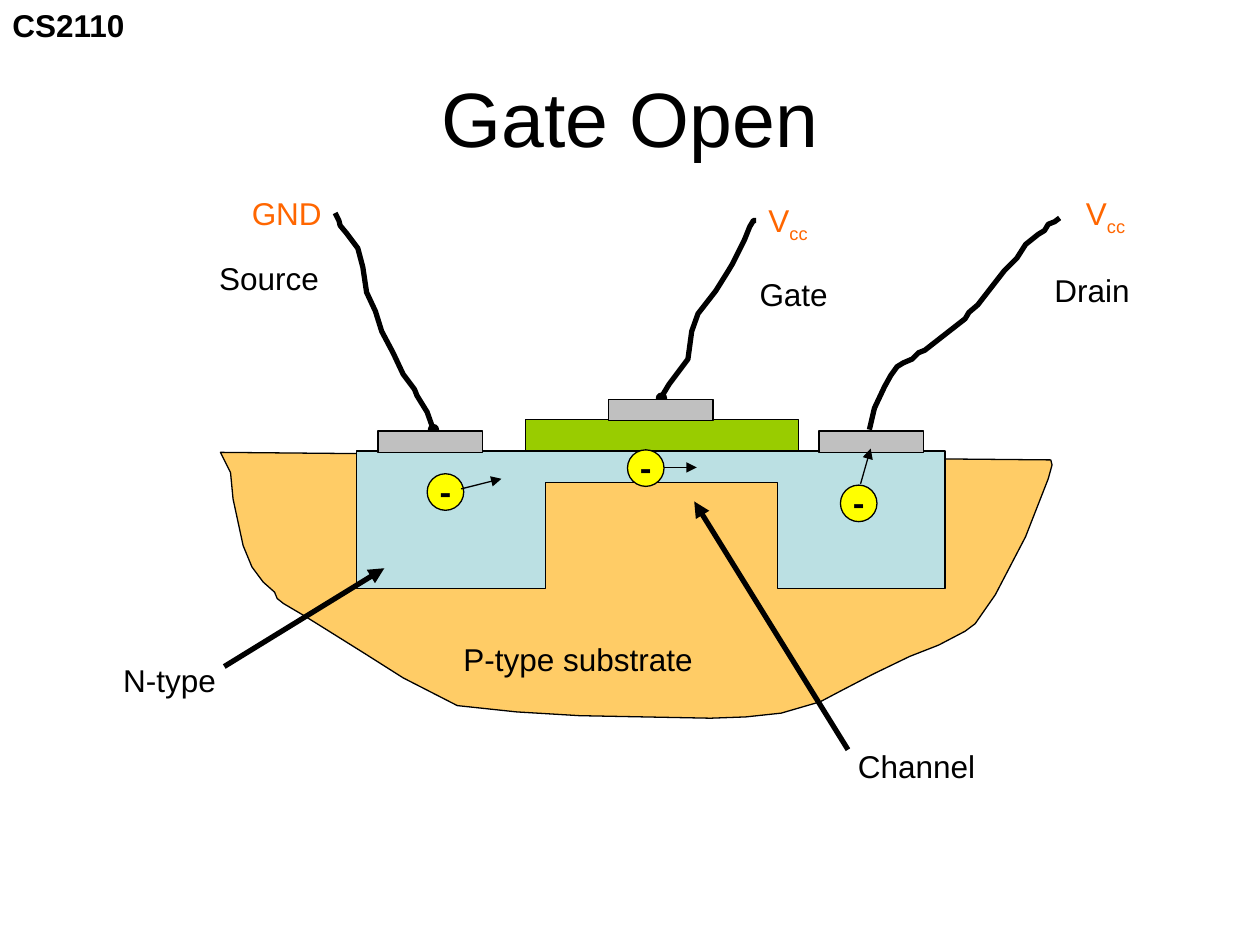
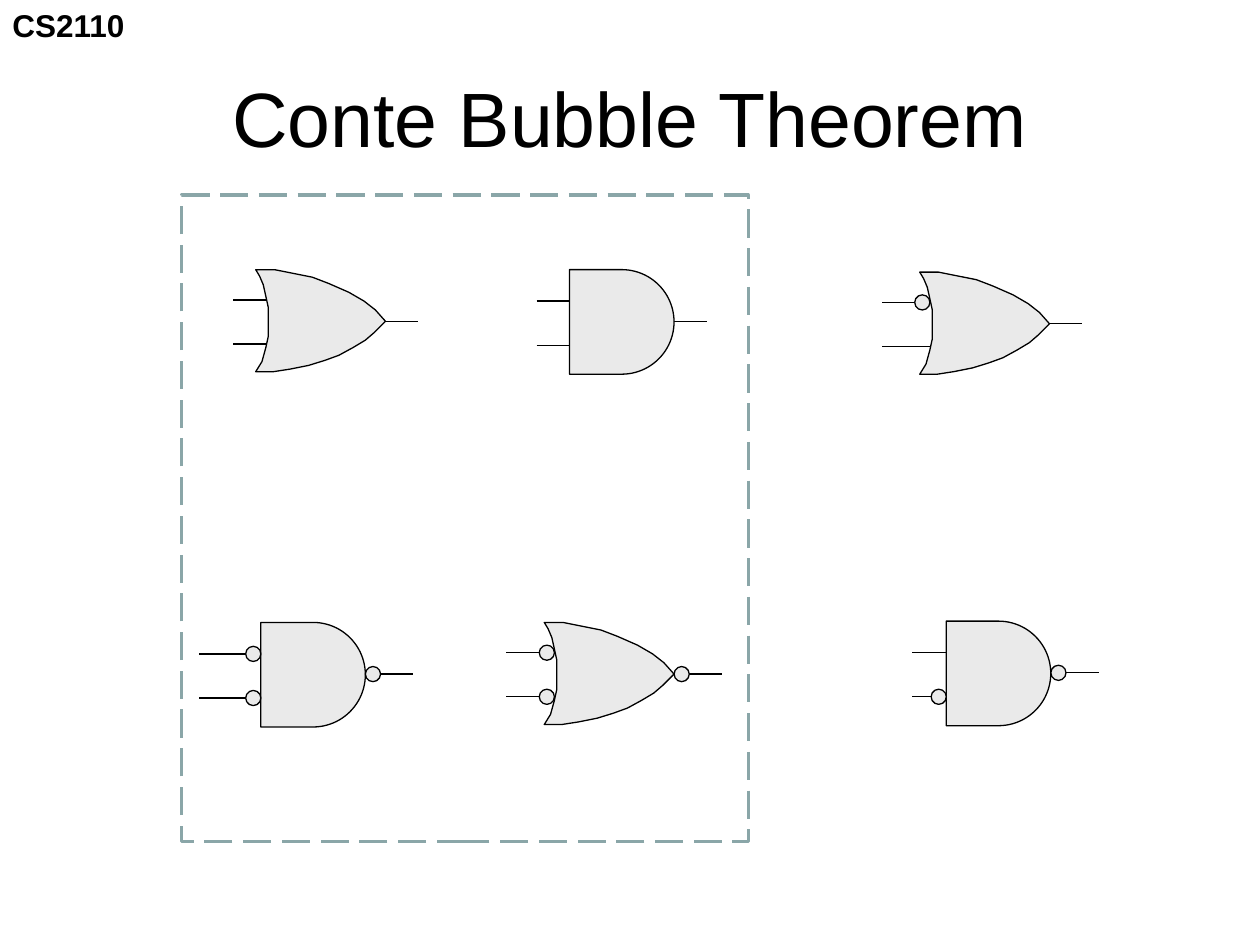
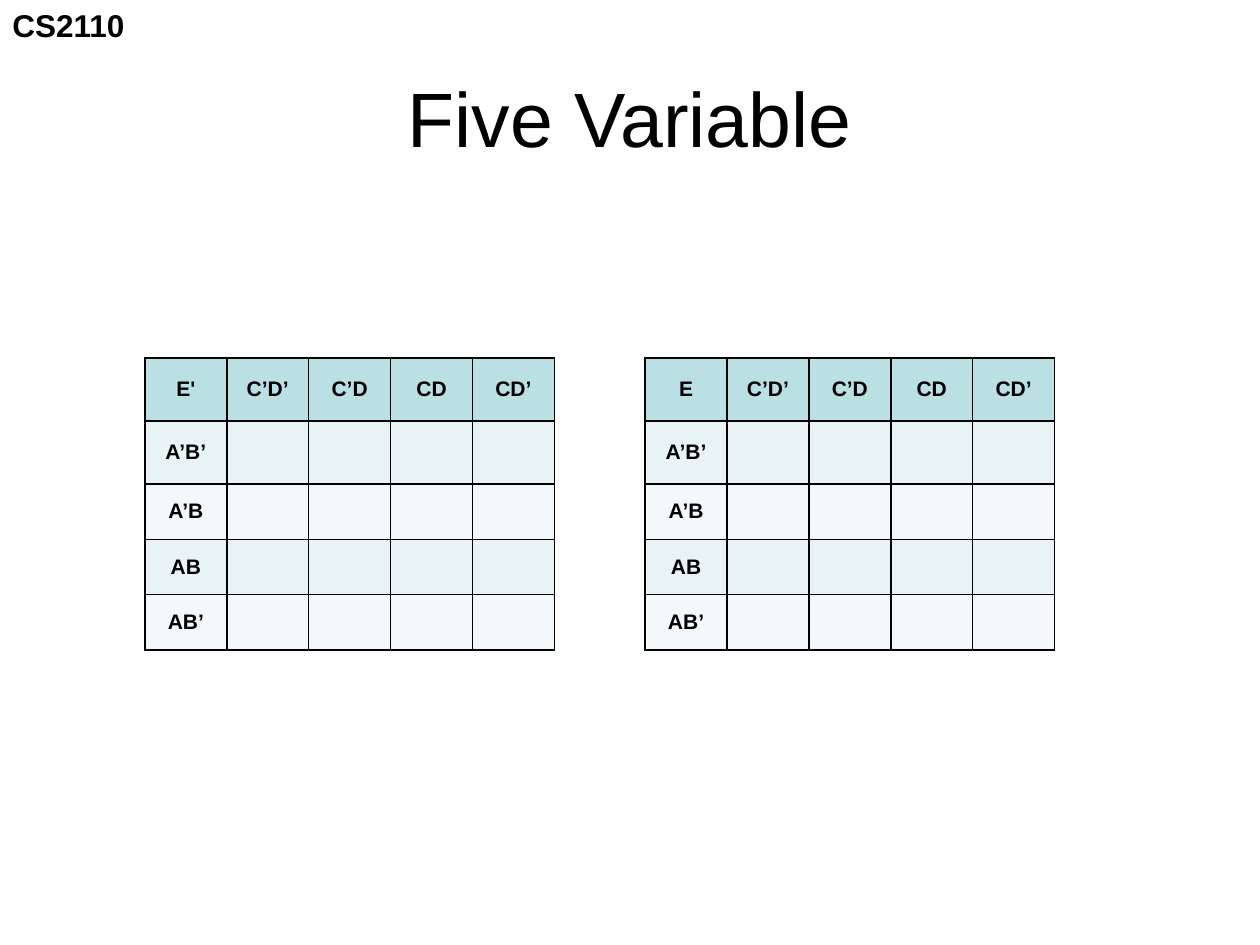
from lxml.etree import SubElement
from pptx import Presentation
from pptx.dml.color import RGBColor
from pptx.enum.dml import MSO_LINE
from pptx.enum.shapes import MSO_CONNECTOR, MSO_SHAPE
from pptx.enum.text import MSO_ANCHOR, MSO_AUTO_SIZE, PP_ALIGN
from pptx.oxml.ns import qn
from pptx.util import Pt

PX = 9144
BLACK = RGBColor(0x00, 0x00, 0x00)
ORANGE = RGBColor(0xFF, 0x66, 0x00)
SAND = RGBColor(0xFF, 0xCC, 0x66)
AQUA = RGBColor(0xBB, 0xE0, 0xE3)
AQUA_LIGHT = RGBColor(0xE7, 0xF3, 0xF4)
AQUA_PALE = RGBColor(0xF3, 0xF9, 0xFA)
GREEN = RGBColor(0x99, 0xCC, 0x00)
SILVER = RGBColor(0xC0, 0xC0, 0xC0)
YELLOW = RGBColor(0xFF, 0xFF, 0x00)
GATE_GREY = RGBColor(0xEA, 0xEA, 0xEA)
FRAME_TEAL = RGBColor(0x8A, 0xA6, 0xA8)
RECTANGLE = MSO_SHAPE.RECTANGLE
ELLIPSE = MSO_SHAPE.OVAL
DELAY = MSO_SHAPE.FLOWCHART_DELAY
STRAIGHT = MSO_CONNECTOR.STRAIGHT
LONG_DASH = MSO_LINE.LONG_DASH
CENTER = PP_ALIGN.CENTER
LEFT = PP_ALIGN.LEFT
MIDDLE = MSO_ANCHOR.MIDDLE
TOP = MSO_ANCHOR.TOP
GROW = MSO_AUTO_SIZE.SHAPE_TO_FIT_TEXT
FIXED = MSO_AUTO_SIZE.NONE
THIN, THICK = 0.75, 3


def paint(shape, fill=None, weight=THIN, color=BLACK):
    shape.shadow.inherit = False
    if fill is None:
        shape.fill.background()
    else:
        shape.fill.solid()
        shape.fill.fore_color.rgb = fill
    shape.line.color.rgb = color
    shape.line.width = Pt(weight)


def connect(shapes, start, end, weight=THIN, arrow=False):
    ends = [value * PX for value in (*start, *end)]
    connector = shapes.add_connector(STRAIGHT, *ends)
    connector.line.color.rgb = BLACK
    connector.line.width = Pt(weight)
    properties = connector._element.spPr
    if arrow:
        SubElement(properties.find(qn("a:ln")), qn("a:tailEnd"), type="triangle")
    SubElement(properties, qn("a:effectLst"))


deck = Presentation()
deck.slide_width = 1000 * PX
deck.slide_height = 750 * PX
transistor, bubbles, karnaugh = [deck.slides.add_slide(deck.slide_layouts[6]) for _ in range(3)]
spans = []

SUBSTRATE = [
    (175, 359), (834, 365), (835, 369), (832, 380), (814, 426), (790, 472),
    (774, 495), (766, 501), (745, 512), (722, 521), (693, 535), (668, 548),
    (651, 557), (620, 566), (592, 569), (564, 570), (460, 568), (410, 565),
    (363, 560), (320, 538), (290, 519), (258, 499), (242, 489), (225, 479),
    (220, 475), (218, 470), (209, 462), (200, 450), (193, 433), (185, 396),
    (183, 375),
]
N_REGION = [
    (283, 358), (283, 467), (433, 467), (433, 383),
    (617, 383), (617, 467), (750, 467), (750, 358),
]
DRAIN_WIRE = [
    (690, 341), (694, 324), (702, 307), (707, 298), (712, 291), (717, 288),
    (724, 285), (729, 280), (734, 278), (766, 253), (769, 248), (776, 242),
    (797, 215), (807, 205), (814, 194), (824, 186), (829, 183), (832, 178),
    (837, 176), (841, 173),
]
GATE_WIRE = [
    (525, 315), (531, 305), (546, 285), (549, 263), (554, 249), (568, 231),
    (578, 215), (581, 210), (591, 190), (595, 180), (598, 175), (600, 175),
]
SOURCE_WIRE = [
    (344, 341), (339, 327), (331, 314), (329, 309), (320, 297), (312, 280),
    (303, 263), (298, 247), (291, 232), (288, 212), (284, 197), (275, 185),
    (270, 179), (269, 175), (266, 169),
]

for left, top in [(686, 355), (521, 312), (340, 337)]:
    joint = transistor.shapes.add_shape(ELLIPSE, left * PX, top * PX, 8 * PX, 8 * PX)
    paint(joint, BLACK)

for points, fill in [(SUBSTRATE, SAND), (N_REGION, AQUA)]:
    builder = transistor.shapes.build_freeform(*points[0], scale=PX)
    builder.add_line_segments(points[1:], close=True)
    paint(builder.convert_to_shape(), fill)

for left, top, width, height, fill in [
    (417, 333, 217, 25, GREEN),
    (300, 342, 83, 17, SILVER),
    (650, 342, 83, 17, SILVER),
    (483, 317, 83, 17, SILVER),
]:
    plate = transistor.shapes.add_shape(RECTANGLE, left * PX, top * PX, width * PX, height * PX)
    paint(plate, fill)

for points in (DRAIN_WIRE, GATE_WIRE, SOURCE_WIRE):
    builder = transistor.shapes.build_freeform(*points[0], scale=PX)
    builder.add_line_segments(points[1:], close=False)
    paint(builder.convert_to_shape(), weight=THICK)

for left, top in [(339, 376), (498, 357), (667, 385)]:
    electron = transistor.shapes.add_shape(ELLIPSE, left * PX, top * PX, 29 * PX, 29 * PX)
    paint(electron, YELLOW)
    electron.text_frame.word_wrap = False
    electron.text_frame.vertical_anchor = MIDDLE
    para = electron.text_frame.paragraphs[0]
    para.alignment = CENTER
    span = para.add_run()
    span.text = "-"
    spans.append((span, "Montserrat", 18, True, BLACK))

for start, end, weight in [
    ((178, 529), (305, 451), THICK),
    ((673, 595), (551, 398), THICK),
    ((366, 388), (398, 380), THIN),
    ((527, 371), (553, 371), THIN),
    ((683, 384), (691, 356), THIN),
]:
    connect(transistor.shapes, start, end, weight, arrow=True)

OR_OUTLINE = [
    (0, 0), (15, 0), (30, 3), (45, 6), (58, 11), (74, 18), (86, 25),
    (95, 32), (103, 41), (94, 50), (87, 56), (77, 62), (66, 68), (55, 72),
    (42, 76), (27, 79), (14, 81), (7, 81), (0, 81), (5, 73), (8, 62),
    (10, 53), (10, 41), (10, 30), (8, 21), (6, 12), (3, 5),
]
BUBBLE = 12
LEAD = 26
OUTPUT_DROP = 41

for kind, left, top, lead_start, inverted_inputs, inverted_output in [
    ("or", 203, 214, 185, (False, False), False),
    ("and", 452, 214, 426, (False, False), False),
    ("and", 207, 494, 158, (True, True), True),
    ("or", 432, 494, 402, (True, True), True),
    ("or", 730, 216, 700, (True, False), False),
    ("and", 751, 493, 724, (False, True), True),
]:
    gate = bubbles.shapes.add_group_shape().shapes
    is_or = kind == "or"
    inlet = left + 8 if is_or else left
    right = left + (103 if is_or else 83)
    pins = [top + drop for drop in ((24, 59) if is_or else (25, 60))]
    output = top + OUTPUT_DROP
    for pin in pins:
        connect(gate, (lead_start, pin), (inlet, pin))
    lead_left = right + BUBBLE * inverted_output
    connect(gate, (lead_left, output), (lead_left + LEAD, output))
    if is_or:
        builder = gate.build_freeform(*OR_OUTLINE[0], scale=PX)
        builder.add_line_segments(OR_OUTLINE[1:], close=True)
        body = builder.convert_to_shape(left * PX, top * PX)
    else:
        body = gate.add_shape(DELAY, left * PX, top * PX, 83 * PX, 83 * PX)
    paint(body, GATE_GREY)
    centers = [(inlet - BUBBLE, pin) for pin, inverted in zip(pins, inverted_inputs) if inverted]
    if inverted_output:
        centers.append((right, output))
    for bubble_left, middle in centers:
        bubble_top = middle - BUBBLE // 2
        bubble = gate.add_shape(ELLIPSE, bubble_left * PX, bubble_top * PX, BUBBLE * PX, BUBBLE * PX)
        paint(bubble, GATE_GREY)

frame = bubbles.shapes.add_shape(RECTANGLE, 144 * PX, 155 * PX, 450 * PX, 513 * PX)
paint(frame, weight=2, color=FRAME_TEAL)
frame.line.dash_style = LONG_DASH

COLUMN_NAMES = ["C’D’", "C’D", "CD", "CD’"]
ROW_NAMES = ["A’B’", "A’B", "AB", "AB’"]
ROW_HEIGHTS = [50, 50, 44, 44, 44]
ROW_FILLS = [AQUA, AQUA_LIGHT, AQUA_PALE, AQUA_LIGHT, AQUA_PALE]

for left, corner in [(115, "E'"), (512, "E")]:
    table = karnaugh.shapes.add_table(5, 5, left * PX, 284 * PX, 325 * PX, sum(ROW_HEIGHTS) * PX).table
    table.first_row = False
    table.horz_banding = False
    for column in table.columns:
        column.width = 65 * PX
    names = [[corner, *COLUMN_NAMES]] + [[name] + [""] * 4 for name in ROW_NAMES]
    for row, height, fill, texts in zip(table.rows, ROW_HEIGHTS, ROW_FILLS, names):
        row.height = height * PX
        for cell, text in zip(row.cells, texts):
            properties = cell._tc.get_or_add_tcPr()
            for side in ("a:lnL", "a:lnR", "a:lnT", "a:lnB"):
                border = SubElement(properties, qn(side), w=str(Pt(1)))
                color = SubElement(SubElement(border, qn("a:solidFill")), qn("a:srgbClr"))
                color.set("val", str(BLACK))
            cell.fill.solid()
            cell.fill.fore_color.rgb = fill
            cell.vertical_anchor = MIDDLE
            if text:
                para = cell.text_frame.paragraphs[0]
                para.alignment = CENTER
                span = para.add_run()
                span.text = text
                spans.append((span, "Arial", 12, True, BLACK))

LABEL = {"word_wrap": False, "auto_size": GROW, "vertical_anchor": TOP}
TITLE = {"word_wrap": True, "auto_size": FIXED, "vertical_anchor": MIDDLE}
texts = [
    (transistor, 358, 503, 202, "P-type substrate", "", BLACK),
    (transistor, 88, 520, 94, "N-type", "", BLACK),
    (transistor, 164, 201, 99, "Source", "", BLACK),
    (transistor, 593, 213, 74, "Gate", "", BLACK),
    (transistor, 827, 210, 80, "Drain", "", BLACK),
    (transistor, 671, 588, 113, "Channel", "", BLACK),
    (transistor, 852, 149, 55, "V", "cc", ORANGE),
    (transistor, 190, 149, 76, "GND", "", ORANGE),
    (transistor, 600, 155, 55, "V", "cc", ORANGE),
]
boxes = [(*text, 40, 18, False, LEFT, LABEL) for text in texts]
for page, title in [
    (transistor, "Gate Open"),
    (bubbles, "Conte Bubble Theorem"),
    (karnaugh, "Five Variable"),
]:
    boxes.append((page, 0, 0, 110, "CS2110", "", BLACK, 40, 18, True, LEFT, LABEL))
    boxes.append((page, 50, 30, 900, title, "", BLACK, 125, 44, False, CENTER, TITLE))

for page, left, top, width, text, subscript, color, height, size, bold, alignment, layout in boxes:
    box = page.shapes.add_textbox(left * PX, top * PX, width * PX, height * PX)
    for name, value in layout.items():
        setattr(box.text_frame, name, value)
    para = box.text_frame.paragraphs[0]
    para.alignment = alignment
    for part, baseline in [(text, "0"), (subscript, "-25000")]:
        if part:
            span = para.add_run()
            span.text = part
            span._r.get_or_add_rPr().set("baseline", baseline)
            spans.append((span, "Arial", size, bold, color))

for span, family, size, bold, color in spans:
    for name, value in {"name": family, "size": Pt(size), "bold": bold}.items():
        setattr(span.font, name, value)
    span.font.color.rgb = color

deck.save("out.pptx")
